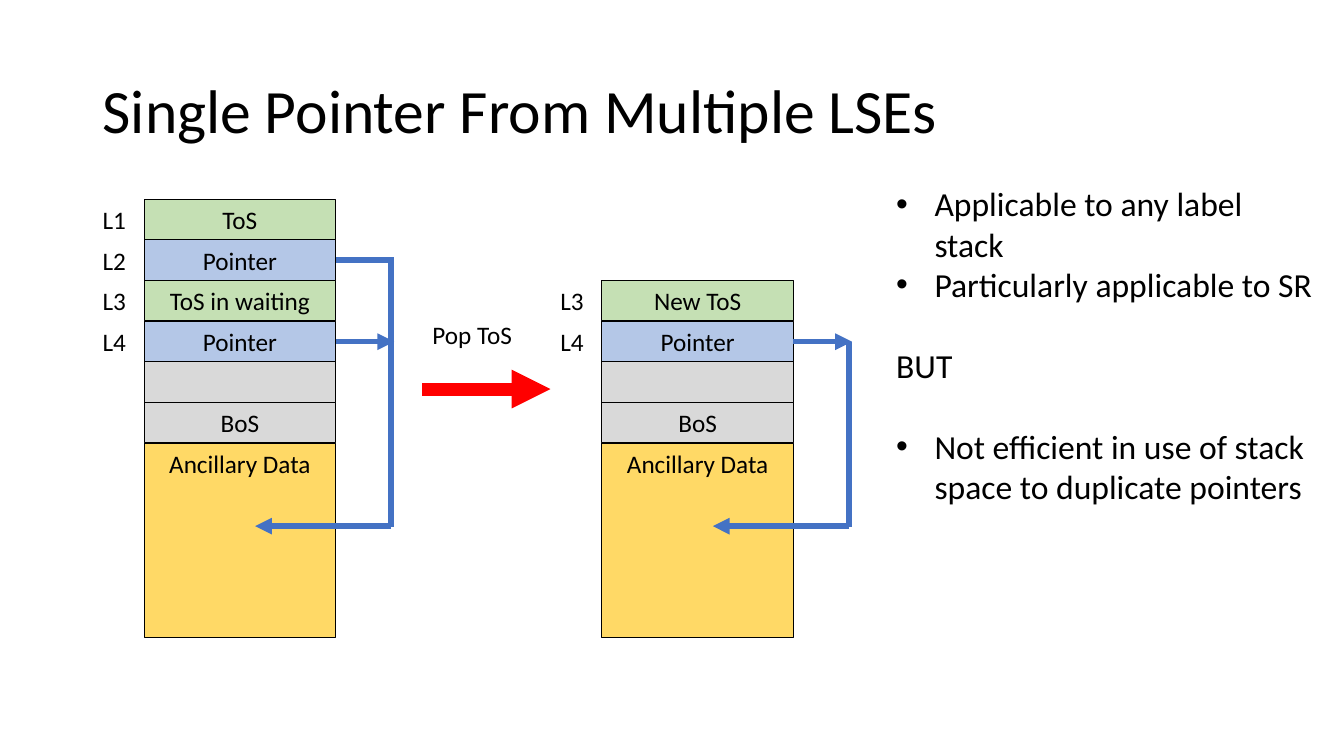
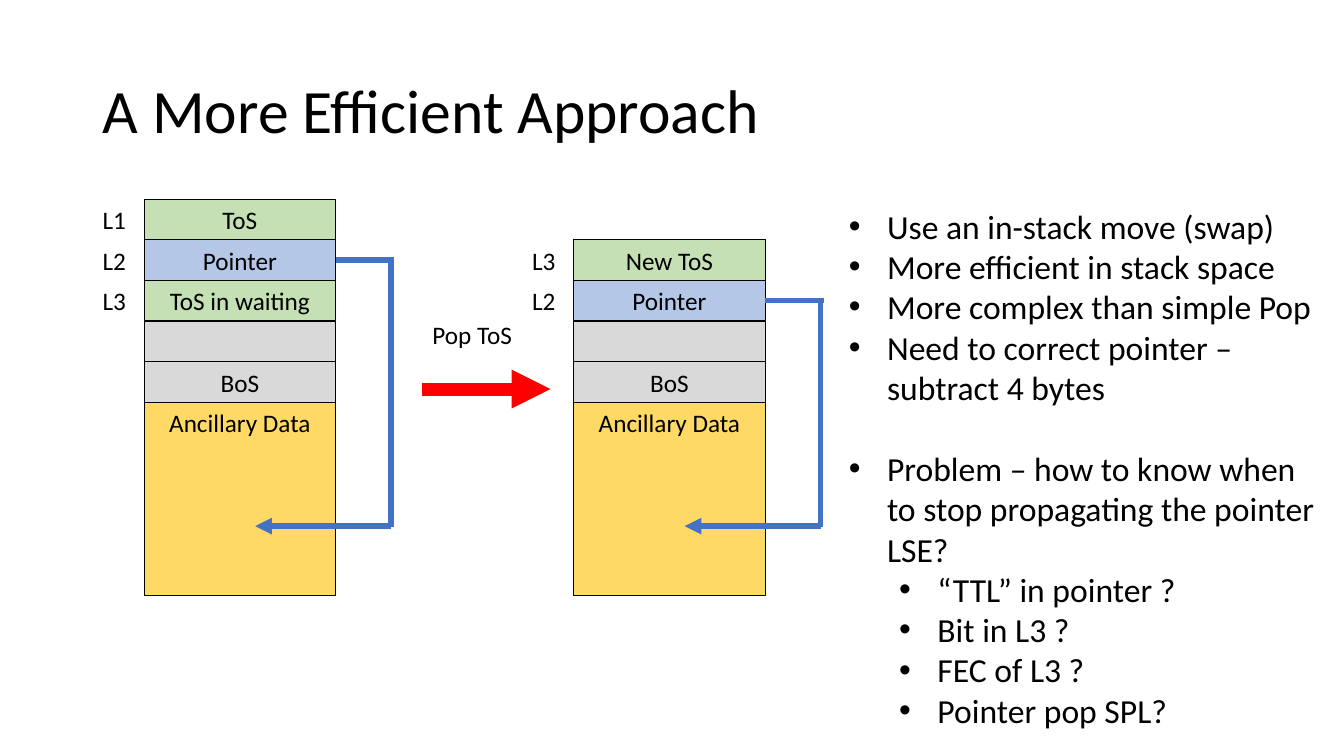
import lxml.etree
import pptx
import pptx.dml.color
import pptx.enum.shapes
import pptx.enum.text
import pptx.oxml.ns
import pptx.util

PX = 9144
FONT = "Calibri"
COLORS = {
    "text": "000000",
    "top": "C5E0B4",
    "pointer": "B4C7E7",
    "stack": "D9D9D9",
    "data": "FFD966",
    "link": "4472C4",
    "pop": "FF0000",
}
GRID_TOP = 198
ROW_HEIGHT = 40
ROW_WIDTH = 190
DATA_HEIGHT = 192
RISER_OFFSET = 245
TARGET_OFFSET = 110
TARGET_Y = 522
BLANK_LINE = 29

SLIDES = [
    {
        "title": "Single Pointer From Multiple LSEs",
        "arrow_rows": {3},
        "stacks": [
            (143, 0, [
                ("L1", "ToS", "top"),
                ("L2", "Pointer", "pointer"),
                ("L3", "ToS in waiting", "top"),
                ("L4", "Pointer", "pointer"),
                ("", "", "stack"),
                ("", "BoS", "stack"),
                ("", "Ancillary Data", "data"),
            ]),
            (597, 2, [
                ("L3", "New ToS", "top"),
                ("L4", "Pointer", "pointer"),
                ("", "", "stack"),
                ("", "BoS", "stack"),
                ("", "Ancillary Data", "data"),
            ]),
        ],
        "notes_box": (879, 177, 441, 404),
        "notes": [
            (0, 0, "Applicable to any label\vstack"),
            (0, 0, "Particularly applicable to SR"),
            (None, BLANK_LINE, "BUT"),
            (0, BLANK_LINE, "Not efficient in use of stack space to duplicate pointers"),
        ],
    },
    {
        "title": "A More Efficient Approach",
        "arrow_rows": set(),
        "stacks": [
            (143, 0, [
                ("L1", "ToS", "top"),
                ("L2", "Pointer", "pointer"),
                ("L3", "ToS in waiting", "top"),
                ("", "", "stack"),
                ("", "BoS", "stack"),
                ("", "Ancillary Data", "data"),
            ]),
            (569, 1, [
                ("L3", "New ToS", "top"),
                ("L2", "Pointer", "pointer"),
                ("", "", "stack"),
                ("", "BoS", "stack"),
                ("", "Ancillary Data", "data"),
            ]),
        ],
        "notes_box": (832, 199, 483, 535),
        "notes": [
            (0, 0, "Use an in-stack move (swap)"),
            (0, 0, "More efficient in stack space"),
            (0, 0, "More complex than simple Pop"),
            (0, 0, "Need to correct pointer – subtract 4 bytes"),
            (0, BLANK_LINE, "Problem – how to know when to stop propagating the pointer LSE?"),
            (1, 0, "“TTL” in pointer ?"),
            (1, 0, "Bit in L3 ?"),
            (1, 0, "FEC of L3 ?"),
            (1, 0, "Pointer pop SPL?"),
        ],
    },
]


def px(*lengths):
    return [pptx.util.Emu(length * PX) for length in lengths]


def rgb(name):
    return pptx.dml.color.RGBColor.from_string(COLORS[name])


def style_text(paragraph, size):
    paragraph.font.name = FONT
    paragraph.font.size = pptx.util.Pt(size)
    paragraph.font.color.rgb = rgb("text")


def add_text(slide, box, text, size, wrap=True):
    frame = slide.shapes.add_textbox(*px(*box)).text_frame
    frame.word_wrap = wrap
    frame.paragraphs[0].text = text
    style_text(frame.paragraphs[0], size)
    return frame


def add_title(slide, box, text):
    frame = add_text(slide, box, text, 44)
    frame.vertical_anchor = pptx.enum.text.MSO_ANCHOR.MIDDLE
    frame.paragraphs[0].line_spacing = 0.9


def add_line(slide, start, end, color, width, arrow=False):
    line = slide.shapes.add_connector(
        pptx.enum.shapes.MSO_CONNECTOR.STRAIGHT, *px(*start, *end))
    line.line.color.rgb = rgb(color)
    line.line.width = pptx.util.Pt(width)
    qn = pptx.oxml.ns.qn
    properties = line.element.spPr
    if arrow:
        lxml.etree.SubElement(properties.find(qn("a:ln")), qn("a:tailEnd"), type="triangle")
    lxml.etree.SubElement(properties, qn("a:effectLst"))
    return line


def add_entry(slide, box, text, kind):
    entry = slide.shapes.add_shape(pptx.enum.shapes.MSO_SHAPE.RECTANGLE, *px(*box))
    entry.shadow.inherit = False
    entry.fill.solid()
    entry.fill.fore_color.rgb = rgb(kind)
    entry.line.color.rgb = rgb("text")
    entry.line.width = pptx.util.Pt(0.75)
    if text:
        entry.text_frame.vertical_anchor = pptx.enum.text.MSO_ANCHOR.TOP
        paragraph = entry.text_frame.paragraphs[0]
        paragraph.text = text
        paragraph.alignment = pptx.enum.text.PP_ALIGN.CENTER
        style_text(paragraph, 18)
    return entry


def add_label_stack(slide, left, first_row, rows, arrow_rows):
    pointers = []
    for row, (label, text, kind) in enumerate(rows, first_row):
        top = GRID_TOP + row * 121 // 3
        height = DATA_HEIGHT if kind == "data" else ROW_HEIGHT
        entry = add_entry(slide, (left, top, ROW_WIDTH, height), text, kind)
        if label:
            add_text(slide, (left - 51, top, 44, ROW_HEIGHT), label, 18, wrap=False)
        if kind == "pointer":
            pointers.append((row, top + ROW_HEIGHT // 2, entry))

    riser = left + RISER_OFFSET
    for row, middle, entry in pointers:
        exit_line = add_line(slide, (left + ROW_WIDTH, middle), (riser + 3, middle),
                             "link", 4, row in arrow_rows)
        exit_line.begin_connect(entry, 3)
    add_line(slide, (riser, pointers[0][1]), (riser, TARGET_Y + 1), "link", 4)
    add_line(slide, (riser, TARGET_Y), (left + TARGET_OFFSET, TARGET_Y), "link", 4, True)


def add_pop_arrow(slide, left, top):
    add_text(slide, (left, top, 100, 40), "Pop ToS", 18, wrap=False)
    add_line(slide, (left, top + 74), (left + 127, top + 74), "pop", 9.25, True)


def add_notes(slide, box, notes):
    qn = pptx.oxml.ns.qn
    frame = slide.shapes.add_textbox(*px(*box)).text_frame
    frame.word_wrap = True
    for index, (level, gap, text) in enumerate(notes):
        paragraph = frame.add_paragraph() if index else frame.paragraphs[0]
        paragraph.text = text
        paragraph.space_before = pptx.util.Pt(gap)
        if level is not None:
            paragraph.level = level
            properties = paragraph._p.get_or_add_pPr()
            properties.set("marL", str((38 + 50 * level) * PX))
            properties.set("indent", str(-38 * PX))
            lxml.etree.SubElement(properties, qn("a:buFont"), typeface="Arial")
            lxml.etree.SubElement(properties, qn("a:buChar"), char="•")
        style_text(paragraph, 24)


def build_slide(deck, content):
    slide = deck.slides.add_slide(deck.slide_layouts[6])
    add_title(slide, (92, 40, 1150, 145), content["title"])
    for left, first_row, rows in content["stacks"]:
        add_label_stack(slide, left, first_row, rows, content["arrow_rows"])
    add_pop_arrow(slide, 419, 312)
    add_notes(slide, content["notes_box"], content["notes"])


def main():
    deck = pptx.Presentation()
    deck.slide_width, deck.slide_height = px(1333, 750)
    for content in SLIDES:
        build_slide(deck, content)
    deck.save("out.pptx")


if __name__ == "__main__":
    main()
